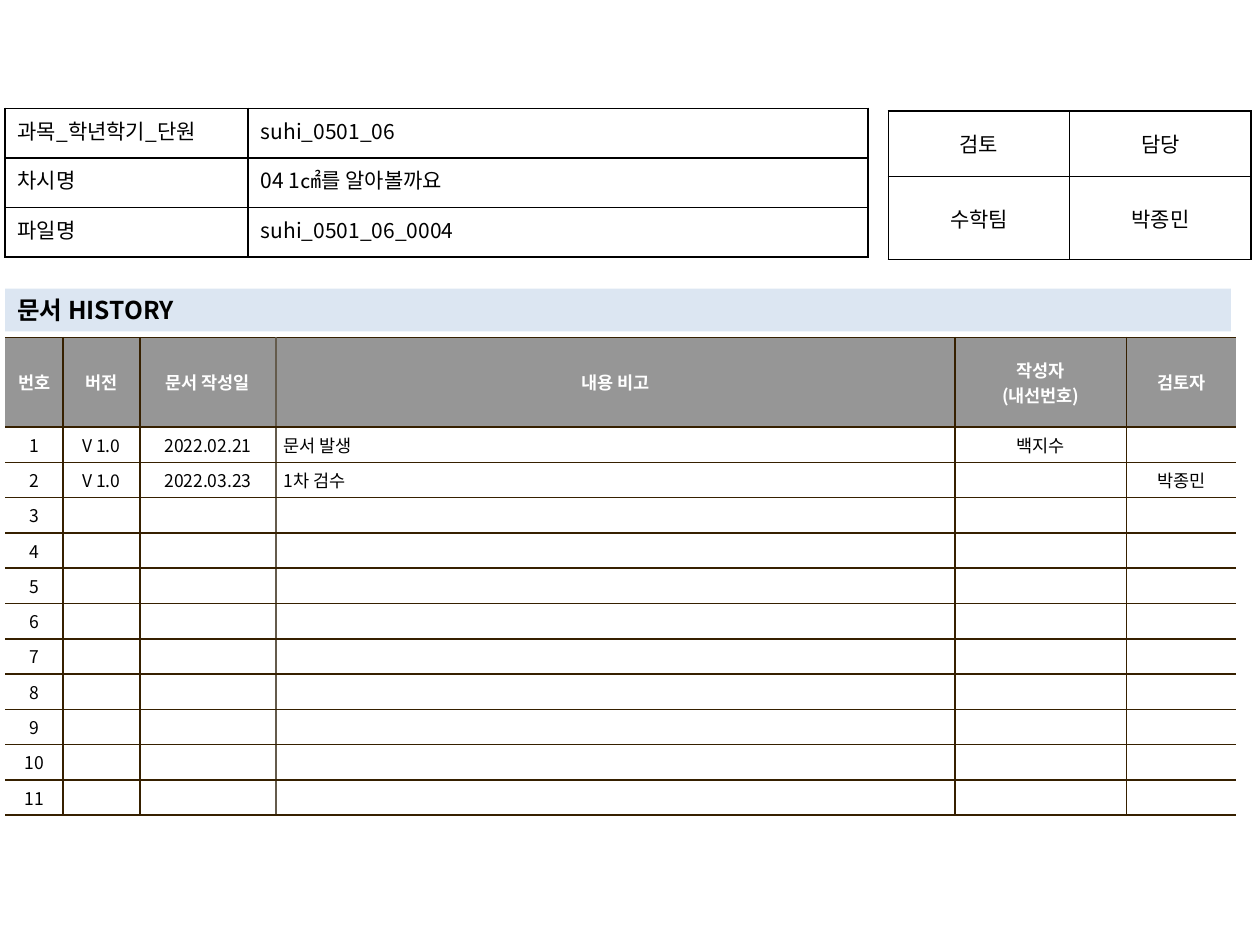
from dataclasses import dataclass

from lxml import etree
from pptx import Presentation
from pptx.dml.color import RGBColor
from pptx.enum.shapes import MSO_SHAPE
from pptx.enum.text import MSO_ANCHOR, PP_ALIGN
from pptx.oxml.ns import qn
from pptx.util import Inches, Pt

RECT = MSO_SHAPE.RECTANGLE
TOP, MIDDLE = MSO_ANCHOR.TOP, MSO_ANCHOR.MIDDLE
LEFT, CENTER, JUSTIFY = PP_ALIGN.LEFT, PP_ALIGN.CENTER, PP_ALIGN.JUSTIFY


@dataclass(frozen=True)
class Theme:
    font: str = "Noto Sans CJK KR"
    black: str = "000000"
    white: str = "FFFFFF"
    header: str = "969696"
    banner: str = "DCE6F2"
    rule: str = "362000"
    soft_rule: str = "645B4C"
    small: int = 10
    body: int = 12
    title: int = 14


T = Theme()
SLIDE_W, SLIDE_H = Inches(10), Inches(7.5)
LEFT_EDGE = 0.4
NOTE_COL = 3
HISTORY_COLS = [4.6, 6.1, 10.8, 53.9, 13.6, 8.7]
HISTORY_HEAD = ["번호", "버전", "문서 작성일", "내용 비고", "작성자\n(내선번호)", "검토자"]
HISTORY_ROWS = [
    ["1", "V 1.0", "2022.02.21", "문서 발생", "백지수", ""],
    ["2", "V 1.0", "2022.03.23", "1차 검수", "", "박종민"],
]
HISTORY_COUNT = 11
INFO_ROWS = [
    ["과목_학년학기_단원 ", "suhi_0501_06"],
    ["차시명", "04 1㎠를 알아볼까요"],
    ["파일명", "suhi_0501_06_0004"],
]
REVIEW_ROWS = [["검토", "담당"], ["수학팀", "박종민"]]


def across(percent):
    return round(SLIDE_W * percent / 100)


def down(percent):
    return round(SLIDE_H * percent / 100)


def write(tf, text, size=T.body, color=T.black, bold=False, align=LEFT, hang=0):
    for i, line in enumerate(text.split("\n")):
        p = tf.add_paragraph() if i else tf.paragraphs[0]
        p.alignment = align
        if hang:
            pPr = p._p.get_or_add_pPr()
            pPr.set("marL", str(Inches(hang)))
            pPr.set("indent", str(-Inches(hang)))
        if not line:
            p._p.get_or_add_endParaRPr().set("sz", str(size * 100))
            continue
        r = p.add_run()
        r.text = line
        r.font.size, r.font.bold, r.font.name = Pt(size), bold, T.font
        r.font.color.rgb = RGBColor.from_string(color)
        etree.SubElement(r.font._element, qn("a:ea"), typeface=T.font)


def set_borders(cell, colors):
    tcPr = cell._tc.get_or_add_tcPr()
    for side, color in zip("LRTB", colors):
        ln = etree.SubElement(tcPr, qn(f"a:ln{side}"), w=str(Pt(1)))
        if color:
            fill = etree.SubElement(ln, qn("a:solidFill"))
            etree.SubElement(fill, qn("a:srgbClr"), val=color)
        else:
            etree.SubElement(ln, qn("a:noFill"))


def add_grid(s, x, y, cols, rows):
    shape = s.shapes.add_table(len(rows), len(cols), across(x), down(y),
                               across(sum(cols)), down(sum(rows)))
    table = shape.table
    table.first_row = table.horz_banding = False
    for col, width in zip(table.columns, cols):
        col.width = across(width)
    for row, height in zip(table.rows, rows):
        row.height = down(height)
    return table


def fill_cell(cell, text, borders, fill=None, anchor=MIDDLE, pad=(0.1, 0.05), **fmt):
    set_borders(cell, borders)
    if fill:
        cell.fill.solid()
        cell.fill.fore_color.rgb = RGBColor.from_string(fill)
    else:
        cell.fill.background()
    cell.vertical_anchor = anchor
    cell.margin_left = cell.margin_right = Inches(pad[0])
    cell.margin_top = cell.margin_bottom = Inches(pad[1])
    write(cell.text_frame, text, **fmt)


def add_form(s, x, y, cols, rows, texts, aligns, anchor):
    table = add_grid(s, x, y, cols, rows)
    for i, row in enumerate(texts):
        for j, text in enumerate(row):
            fill_cell(table.cell(i, j), text, [T.black] * 4, anchor=anchor, align=aligns[j])


def add_history(s):
    table = add_grid(s, LEFT_EDGE, 35.73, HISTORY_COLS, [9.47] + [3.73] * HISTORY_COUNT)
    blank = [[str(n)] + [""] * (len(HISTORY_COLS) - 1)
             for n in range(len(HISTORY_ROWS) + 1, HISTORY_COUNT + 1)]
    uprights = [T.rule] * (len(HISTORY_COLS) - 1)
    uprights[NOTE_COL - 1] = T.soft_rule
    uprights = [None, *uprights, None]
    for i, row in enumerate([HISTORY_HEAD] + HISTORY_ROWS + blank):
        head = i == 0
        for j, text in enumerate(row):
            note = j == NOTE_COL and not head
            fill_cell(table.cell(i, j), text,
                      [uprights[j], uprights[j + 1], T.rule, T.rule],
                      fill=T.header if head else T.white, pad=(0.06, 0.04),
                      size=T.small, color=T.white if head else T.black, bold=head,
                      align=LEFT if note else CENTER, hang=0.19 if note else 0)


def add_banner(s, text):
    sp = s.shapes.add_shape(RECT, across(LEFT_EDGE), down(30.53), across(97.3), down(4.53))
    sp.shadow.inherit = False
    sp.fill.solid()
    sp.fill.fore_color.rgb = RGBColor.from_string(T.banner)
    sp.line.fill.background()
    tf = sp.text_frame
    tf.word_wrap = True
    tf.vertical_anchor = MIDDLE
    write(tf, text, size=T.title, bold=True)


def main():
    prs = Presentation()
    prs.slide_width, prs.slide_height = SLIDE_W, SLIDE_H
    s = prs.slides.add_slide(prs.slide_layouts[6])
    add_history(s)
    add_form(s, 70.5, 11.73, [14.4] * 2, [6.93, 8.8], REVIEW_ROWS, [CENTER] * 2, MIDDLE)
    add_banner(s, "문서 HISTORY")
    add_form(s, LEFT_EDGE, 11.47, [19.3, 49.2], [5.25] * 3, INFO_ROWS, [JUSTIFY, LEFT], TOP)
    prs.save("out.pptx")


if __name__ == "__main__":
    main()
